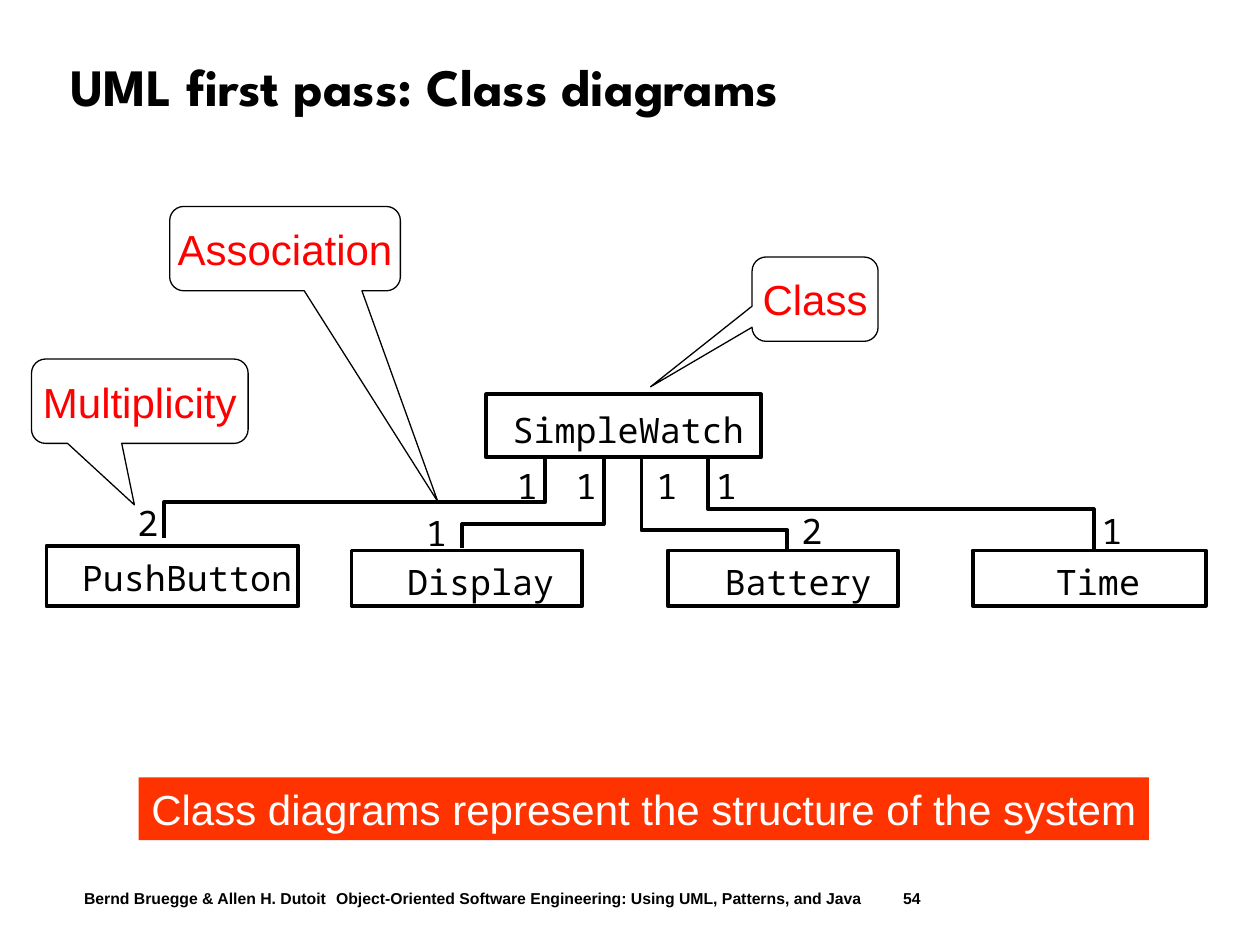
from pptx import Presentation
from pptx.util import Pt
from pptx.dml.color import RGBColor
from pptx.enum.shapes import MSO_SHAPE
from pptx.enum.text import MSO_ANCHOR, PP_ALIGN
from lxml.etree import SubElement
from pptx.oxml.ns import qn

COLORS = {"ink": "000000", "paper": "FFFFFF", "note": "FF0000", "band": "FF3300"}
SANS, MONO, HEAD = "Arial", "Noto Sans Mono", "League Spartan"

TITLE = "UML first pass: Class diagrams"
CLAIM = "Class diagrams represent the structure of the system"
FOOTER = ["Bernd Bruegge & Allen H. Dutoit",
          "Object-Oriented Software Engineering: Using UML, Patterns, and Java",
          "54"]
TABS = [(230.4, "l"), (640, "r")]

# text, left, top, width, pointer x and y
CALLOUTS = [
    ("Class", 429.8, 146.9, 72, -1.306, 1.039),
    ("Association", 97, 118, 131.8, 0.663, 3.003),
    ("Multiplicity", 18, 205.2, 123.8, -0.025, 1.229),
]
# child x, child y, bend y, parent x, parent y
LINKS = [
    (93.8, 307.2, 287, 311.5, 260),
    (264.2, 313.2, 299.5, 345, 258.5),
    (450, 315.4, 303, 366.6, 258.5),
    (625, 314, 291, 404.6, 258.5),
]
# digit, left, top
COUNTS = [
    ("2", 78.5, 286.6), ("1", 295.2, 265.7),
    ("1", 329, 265.7), ("1", 243.4, 292.3),
    ("1", 375.1, 265.7), ("2", 457.9, 290.9),
    ("1", 409, 265.7), ("1", 629.3, 290.9),
]
# name, left, top, width, height, label left, label top
CLASSES = [
    ("SimpleWatch", 277.9, 225.4, 157, 36, 293, 233.3),
    ("Display", 200.9, 314.6, 131.8, 31.7, 232.6, 320.4),
    ("Battery", 381.6, 314.6, 131.8, 31.7, 414, 320.4),
    ("Time", 555.8, 314.6, 133.2, 31.7, 603.4, 320.4),
    ("PushButton", 26.6, 311.8, 144, 34.6, 46.8, 318.2),
]
CHAR = 12.04  # width of one 20 pt mono letter

deck = Presentation()
deck.slide_width, deck.slide_height = Pt(720), Pt(540)
slide = deck.slides.add_slide(deck.slide_layouts[6])
shapes = slide.shapes


def color(name):
    return RGBColor.from_string(COLORS[name])


def write(shape, text, size, font, ink="ink", bold=False, wrap=False,
          align=PP_ALIGN.LEFT, pad=0, anchor=MSO_ANCHOR.TOP):
    frame = shape.text_frame
    frame.word_wrap = wrap
    frame.vertical_anchor = anchor
    frame.margin_left = frame.margin_right = Pt(pad)
    frame.margin_top = frame.margin_bottom = Pt(pad / 2)
    para = frame.paragraphs[0]
    para.alignment = align
    run = para.add_run()
    run.text = text
    run.font.size, run.font.name, run.font.bold = Pt(size), font, bold
    run.font.color.rgb = color(ink)
    return para


def box(left, top, width, height):
    return shapes.add_textbox(Pt(left), Pt(top), Pt(width), Pt(height))


def style(shape, fill=None, line=None):
    """Set fill and line width; None leaves that part out."""
    shape.shadow.inherit = False
    if fill:
        shape.fill.solid()
        shape.fill.fore_color.rgb = color(fill)
    else:
        shape.fill.background()
    if line:
        shape.line.color.rgb = color("ink")
        shape.line.width = Pt(line)
    else:
        shape.line.fill.background()


def block(kind, left, top, width, height, fill, line=None):
    shape = shapes.add_shape(kind, Pt(left), Pt(top), Pt(width), Pt(height))
    style(shape, fill, line)
    return shape


def label(text, left, top):
    write(box(left, top, CHAR * len(text), 23.8), text, 20, MONO)


foot = write(box(28, 504, 660, 18), "\t".join(FOOTER), 9, SANS, bold=True,
             wrap=True, anchor=MSO_ANCHOR.MIDDLE)
props = foot._p.get_or_add_pPr()
props.set("marL", str(Pt(20)))
props.set("indent", "0")
stops = SubElement(props, qn("a:tabLst"))
for pos, side in TABS:
    SubElement(stops, qn("a:tab"), pos=str(Pt(pos)), algn=side)

head = write(box(33.1, 17.3, 642.2, 67.7), TITLE, 30, HEAD, bold=True,
             wrap=True, pad=7.2, anchor=MSO_ANCHOR.MIDDLE)
head.line_spacing = 0.9

centred = dict(align=PP_ALIGN.CENTER, pad=7.2, anchor=MSO_ANCHOR.MIDDLE)
for text, left, top, width, *tip in CALLOUTS:
    note = block(MSO_SHAPE.ROUNDED_RECTANGULAR_CALLOUT, left, top, width, 48.2,
                 "paper", 0.75)
    for i, value in enumerate(tip + [0.167]):
        note.adjustments[i] = value
    write(note, text, 24, SANS, "note", **centred)

band = block(MSO_SHAPE.RECTANGLE, 79.2, 444.2, 577.4, 36, "band")
write(band, CLAIM, 24, SANS, "paper", **centred)

for x, y, bend, px, py in LINKS:
    pen = shapes.build_freeform(Pt(x), Pt(y))
    pen.add_line_segments([(Pt(x), Pt(bend)), (Pt(px), Pt(bend)),
                           (Pt(px), Pt(py))], close=False)
    style(pen.convert_to_shape(), line=2.25)

for count in COUNTS:
    label(*count)

for name, left, top, width, height, tx, ty in CLASSES:
    block(MSO_SHAPE.RECTANGLE, left, top, width, height, "paper", 2.25)
    label(name, tx, ty)

deck.save("out.pptx")
